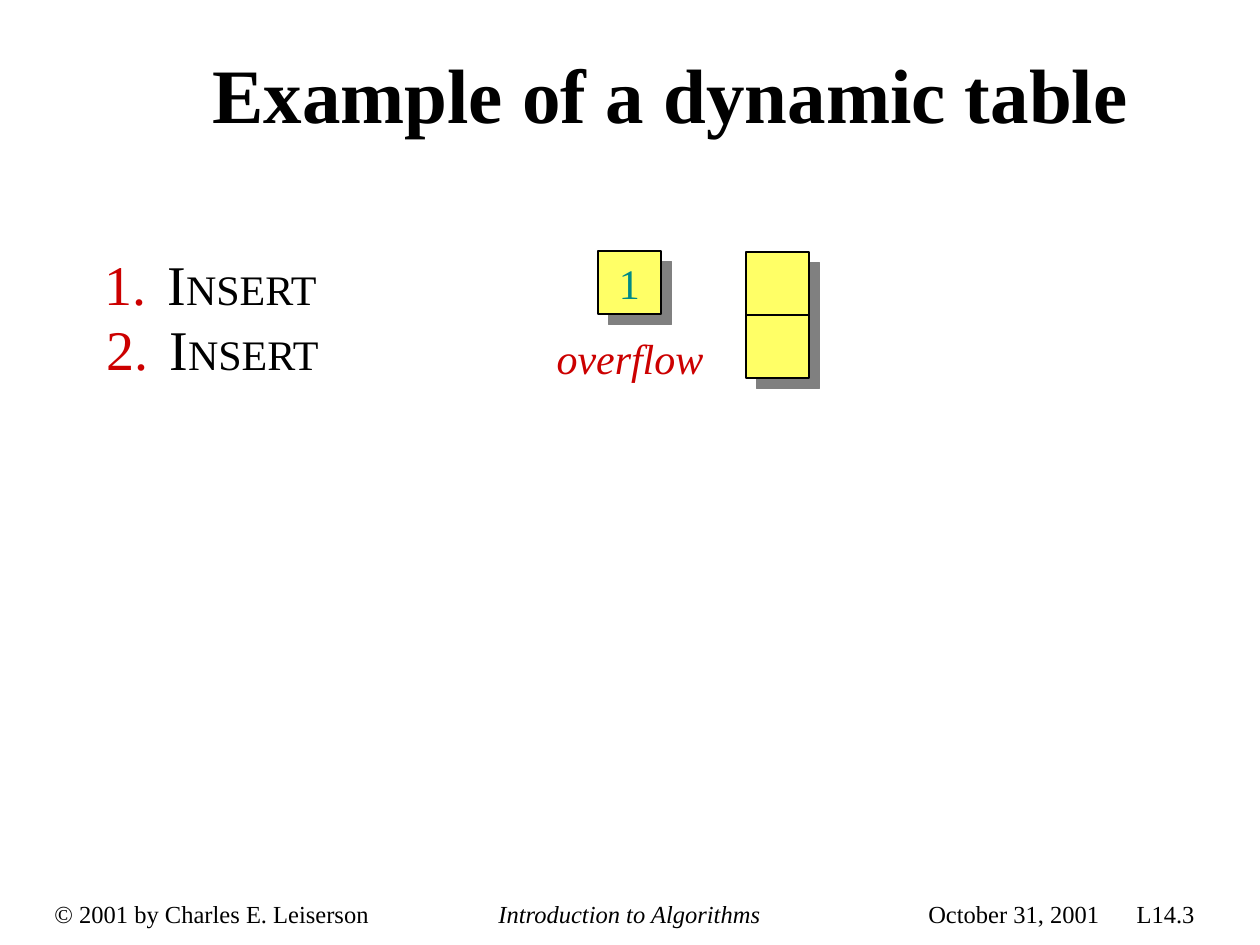
from dataclasses import dataclass, field
from typing import Any, NamedTuple

from lxml import etree
from pptx import Presentation
from pptx import util as u
from pptx.dml.color import RGBColor
from pptx.enum import shapes, text
from pptx.oxml import ns

SCALE = 914400 / 126
CELL = 63


@dataclass(frozen=True)
class Theme:
    font: str = "Times New Roman"
    ink: str = "000000"
    accent: str = "CC0000"
    cell: str = "FFFF66"
    value: str = "008A87"
    shadow: str = "808080"
    title_size: int = 44
    step_size: int = 32
    label_size: int = 24
    footer_size: int = 14
    line_width: float = 0.75
    shadow_distance: float = 8.5


THEME = Theme()


class Box(NamedTuple):
    left: int
    top: int
    width: int
    height: int


class Run(NamedTuple):
    content: str
    size: int
    color: str = THEME.ink
    bold: bool = False
    italic: bool = False


@dataclass(frozen=True)
class Label:
    box: Box
    runs: list[Run]
    frame: dict[str, Any] = field(default_factory=dict)
    paragraph: dict[str, Any] = field(default_factory=dict)
    number: int = 0


class DynamicTable(NamedTuple):
    left: int
    top: int
    values: list[str]


CENTER = {"alignment": text.PP_ALIGN.CENTER}
RIGHT = {"alignment": text.PP_ALIGN.RIGHT}
FIT = {"word_wrap": False, "auto_size": text.MSO_AUTO_SIZE.SHAPE_TO_FIT_TEXT}
MIDDLE = {"word_wrap": True, "vertical_anchor": text.MSO_ANCHOR.MIDDLE}


def footer(left: int, width: int, content: str, paragraph: dict[str, Any], italic: bool = False) -> Label:
    run = Run(content, THEME.footer_size, italic=italic)
    return Label(Box(left, 893, width, 43), [run], FIT, paragraph)


def step(number: int, left: int, top: int) -> Label:
    runs = [Run("I", THEME.step_size), Run("NSERT", THEME.label_size)]
    return Label(Box(left, top, 239, 81), runs, FIT, number=number)


LABELS = [
    footer(42, 340, "© 2001 by Charles E. Leiserson", {}),
    footer(485, 289, "Introduction to Algorithms", CENTER, italic=True),
    footer(915, 197, "October 31, 2001", RIGHT),
    footer(1123, 84, "L14.3", RIGHT),
    Label(
        Box(200, 21, 1040, 158),
        [Run("Example of a dynamic table", THEME.title_size, bold=True)],
        MIDDLE,
        {"line_spacing": 0.85},
    ),
    step(1, 92, 243),
    step(2, 94, 308),
    Label(
        Box(540, 326, 180, 63),
        [Run("overflow", THEME.label_size, THEME.accent, italic=True)],
        FIT,
        CENTER,
    ),
]

TABLES = [DynamicTable(598, 251, ["1"]), DynamicTable(746, 252, ["", ""])]


def set_attributes(target: Any, values: dict[str, Any]) -> None:
    for name, value in values.items():
        setattr(target, name, value)


def to_emu(box: Box) -> list[int]:
    return [round(length * SCALE) for length in box]


def add_element(parent: Any, tag: str, **attributes: Any) -> Any:
    values = {name: str(value) for name, value in attributes.items()}
    return etree.SubElement(parent, ns.qn(tag), values)


def write_runs(paragraph: Any, runs: list[Run]) -> None:
    for item in runs:
        run = paragraph.add_run()
        run.text = item.content
        set_attributes(run.font, {
            "name": THEME.font,
            "size": u.Pt(item.size),
            "bold": item.bold,
            "italic": item.italic,
        })
        run.font.color.rgb = RGBColor.from_string(item.color)


def number_paragraph(paragraph: Any, number: int) -> None:
    properties = paragraph._p.get_or_add_pPr()
    indent = round(CELL * SCALE)
    properties.set("marL", str(indent))
    properties.set("indent", str(-indent))
    color = add_element(properties, "a:buClr")
    add_element(color, "a:srgbClr", val=THEME.accent)
    add_element(properties, "a:buAutoNum", type="arabicPeriod", startAt=number)


def add_label(slide: Any, label: Label) -> None:
    shape = slide.shapes.add_textbox(*to_emu(label.box))
    set_attributes(shape.text_frame, label.frame)
    paragraph = shape.text_frame.paragraphs[0]
    set_attributes(paragraph, label.paragraph)
    if label.number:
        number_paragraph(paragraph, label.number)
    write_runs(paragraph, label.runs)


def add_shadow(shape: Any) -> None:
    shape.shadow.inherit = False
    effects = shape._element.spPr.find(ns.qn("a:effectLst"))
    shadow = add_element(
        effects, "a:outerShdw", blurRad=0, dist=u.Pt(THEME.shadow_distance),
        dir=45 * 60000, algn="ctr", rotWithShape=0,
    )
    add_element(shadow, "a:srgbClr", val=THEME.shadow)


def add_cell(slide: Any, box: Box, value: str) -> None:
    shape = slide.shapes.add_shape(shapes.MSO_SHAPE.RECTANGLE, *to_emu(box))
    shape.fill.solid()
    shape.fill.fore_color.rgb = RGBColor.from_string(THEME.cell)
    shape.line.color.rgb = RGBColor.from_string(THEME.ink)
    shape.line.width = u.Pt(THEME.line_width)
    add_shadow(shape)
    if value:
        set_attributes(shape.text_frame, {**MIDDLE, "word_wrap": False})
        paragraph = shape.text_frame.paragraphs[0]
        set_attributes(paragraph, CENTER)
        write_runs(paragraph, [Run(value, THEME.label_size, THEME.value)])


def add_dynamic_table(slide: Any, table: DynamicTable) -> None:
    for row, value in enumerate(table.values):
        add_cell(slide, Box(table.left, table.top + row * CELL, CELL, CELL), value)


def main() -> None:
    presentation = Presentation()
    set_attributes(presentation, {"slide_width": u.Inches(10), "slide_height": u.Inches(7.5)})
    slide = presentation.slides.add_slide(presentation.slide_layouts[6])
    for table in TABLES:
        add_dynamic_table(slide, table)
    for label in LABELS:
        add_label(slide, label)
    presentation.save("out.pptx")


if __name__ == "__main__":
    main()
